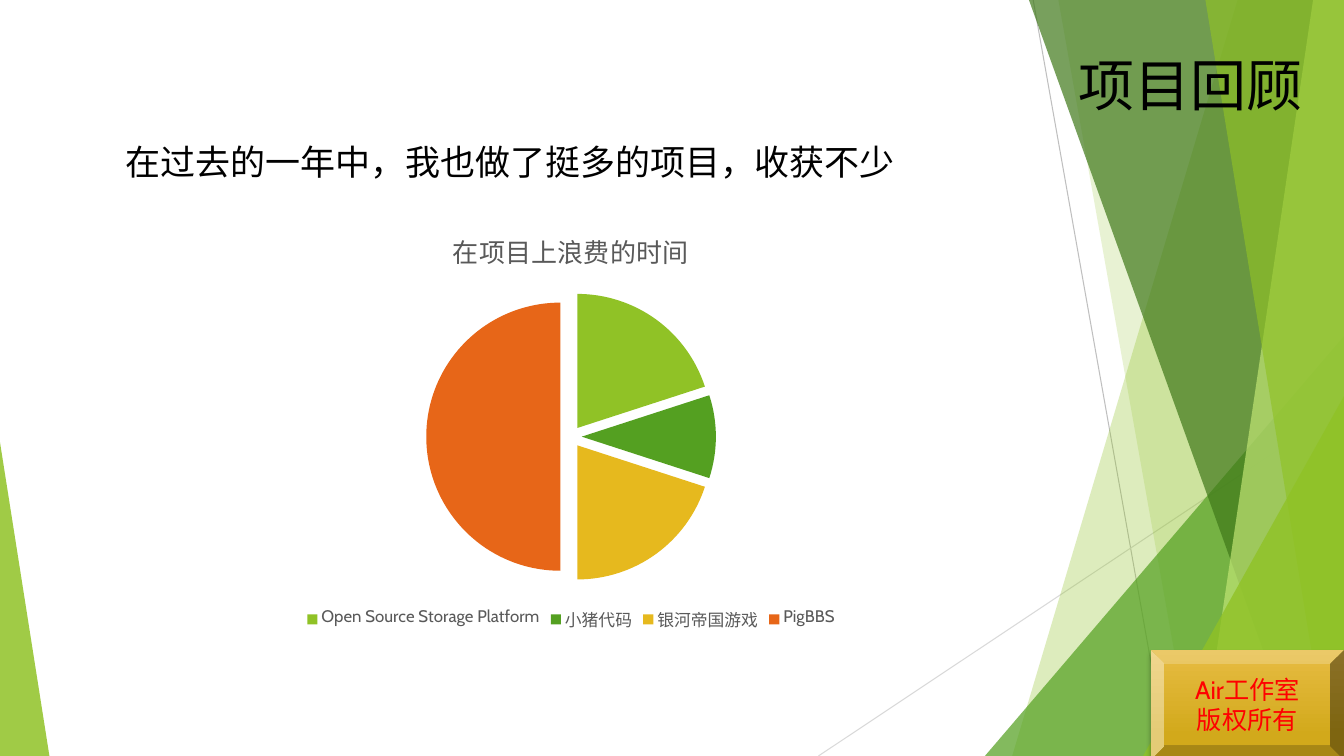
"""Builds the project review slide with its faceted green decoration and pie chart."""
from lxml import etree
from pptx import Presentation
from pptx.chart.data import CategoryChartData
from pptx.dml.color import RGBColor
from pptx.enum.chart import XL_CHART_TYPE, XL_LEGEND_POSITION
from pptx.enum.shapes import MSO_CONNECTOR, MSO_SHAPE
from pptx.enum.text import MSO_ANCHOR, PP_ALIGN
from pptx.oxml.ns import qn
from pptx.util import Pt

PIE = XL_CHART_TYPE.PIE
LEGEND_BOTTOM = XL_LEGEND_POSITION.BOTTOM
STRAIGHT = MSO_CONNECTOR.STRAIGHT
TRIANGLE = MSO_SHAPE.ISOSCELES_TRIANGLE
BEVEL = MSO_SHAPE.BEVEL
MIDDLE = MSO_ANCHOR.MIDDLE
LEFT = PP_ALIGN.LEFT
CENTER = PP_ALIGN.CENTER

BLACK = RGBColor(0x00, 0x00, 0x00)
RED = RGBColor(0xFF, 0x00, 0x00)
GRAY = RGBColor(0x59, 0x59, 0x59)
SILVER = RGBColor(0xBF, 0xBF, 0xBF)
PALE_GRAY = RGBColor(0xD9, 0xD9, 0xD9)
LIME = RGBColor(0x90, 0xC2, 0x26)
GREEN = RGBColor(0x54, 0xA0, 0x21)
DARK_GREEN = RGBColor(0x3F, 0x78, 0x19)
LIGHT_LIME = RGBColor(0xC0, 0xE4, 0x74)
YELLOW = RGBColor(0xE6, 0xB9, 0x1E)
ORANGE = RGBColor(0xE7, 0x66, 0x18)
GOLD = RGBColor(0xE7, 0xBC, 0x43)
DARK_GOLD = RGBColor(0xD2, 0xA9, 0x1B)

FONT = "Cabin"
WIDTH, HEIGHT = 960, 540
CHART_TITLE = "在项目上浪费的时间"
PROJECTS = [
    ("Open Source Storage Platform", 20, LIME),
    ("小猪代码", 10, GREEN),
    ("银河帝国游戏", 20, YELLOW),
    ("PigBBS", 50, ORANGE),
]


def set_font(font, size, color):
    """Apply the slide's typeface with a size and colour."""
    font.name = FONT
    font.size = Pt(size)
    font.bold = False
    font.color.rgb = color


def write_text(text_frame, text, size, color=BLACK, align=LEFT, wrap=False):
    """Write one paragraph per line of text."""
    text_frame.word_wrap = wrap
    for index, line in enumerate(text.split("\n")):
        paragraph = text_frame.paragraphs[0] if index == 0 else text_frame.add_paragraph()
        paragraph.alignment = align
        run = paragraph.add_run()
        run.text = line
        set_font(run.font, size, color)


def add_text(slide, left, top, width, height, text, size):
    """Add a text box."""
    box = slide.shapes.add_textbox(Pt(left), Pt(top), Pt(width), Pt(height))
    write_text(box.text_frame, text, size)


def add_line(slide, start, end, color):
    """Add a thin straight line without a shadow."""
    line = slide.shapes.add_connector(
        STRAIGHT, Pt(start[0]), Pt(start[1]), Pt(end[0]), Pt(end[1]))
    line.line.color.rgb = color
    line.line.width = Pt(0.75)
    etree.SubElement(line._element.spPr, qn("a:effectLst"))


def fill_translucent(shape, color, opacity):
    """Fill a shape with a partly opaque colour, without outline or shadow."""
    shape.shadow.inherit = False
    shape.line.fill.background()
    shape.fill.solid()
    shape.fill.fore_color.rgb = color
    color_element = shape._element.spPr.find(".//" + qn("a:srgbClr"))
    etree.SubElement(color_element, qn("a:alpha"), val=str(opacity * 1000))


def add_facet(slide, top_left, bottom_left, color, opacity):
    """Add a full-height facet reaching the right slide edge."""
    builder = slide.shapes.build_freeform(Pt(top_left), 0)
    corners = [(WIDTH, 0), (WIDTH, HEIGHT), (bottom_left, HEIGHT)]
    builder.add_line_segments([(Pt(x), Pt(y)) for x, y in corners], close=True)
    fill_translucent(builder.convert_to_shape(), color, opacity)


def add_corner(slide, left, top, width, apex, color, opacity):
    """Add a right triangle standing on the bottom slide edge."""
    shape = slide.shapes.add_shape(
        TRIANGLE, Pt(left), Pt(top), Pt(width), Pt(HEIGHT - top))
    shape.adjustments[0] = apex
    fill_translucent(shape, color, opacity)


def add_decoration(slide):
    """Draw the lines and facets behind the content."""
    add_line(slide, (738, 0), (834, HEIGHT), SILVER)
    add_line(slide, (WIDTH, 290), (584.6, HEIGHT), PALE_GRAY)
    add_facet(slide, 884, 723, LIME, 30)
    add_facet(slide, 756, 852, LIME, 20)
    add_corner(slide, 703.5, 240, 256.5, 1, GREEN, 72)
    add_facet(slide, 735, 929.5, DARK_GREEN, 70)
    add_facet(slide, 938, 858, LIGHT_LIME, 70)
    add_facet(slide, 861, 949, LIME, 65)
    add_corner(slide, 816.5, 283, 143.5, 1, LIME, 80)
    add_corner(slide, 0, 316, 35.3, 0, LIME, 85)


def add_project_chart(slide):
    """Add the exploded pie of time spent per project."""
    data = CategoryChartData()
    data.categories = [name for name, _, _ in PROJECTS]
    data.add_series(CHART_TITLE, [value for _, value, _ in PROJECTS])
    chart = slide.shapes.add_chart(
        PIE, Pt(32.4), Pt(150.5), Pt(751), Pt(303.8), data).chart
    set_font(chart.font, 10, BLACK)
    chart.has_title = True
    write_text(chart.chart_title.text_frame, CHART_TITLE, 18.6, color=GRAY, align=CENTER)
    chart.chart_title.include_in_layout = False
    chart.has_legend = True
    chart.legend.position = LEGEND_BOTTOM
    chart.legend.include_in_layout = False
    set_font(chart.legend.font, 12, GRAY)
    plot = chart.plots[0]
    plot.vary_by_categories = True
    series = plot.series[0]
    for index, (_, _, color) in enumerate(PROJECTS):
        fill = series.points[index].format.fill
        fill.solid()
        fill.fore_color.rgb = color
    explosion = etree.Element(qn("c:explosion"), val="8")
    series._element.find(qn("c:tx")).addnext(explosion)


def add_badge(slide, left, top, width, height, text):
    """Add the golden bevelled badge with a soft shadow."""
    shape = slide.shapes.add_shape(BEVEL, Pt(left), Pt(top), Pt(width), Pt(height))
    shape.line.fill.background()
    shape.fill.gradient()
    shape.fill.gradient_angle = 270
    for stop, color, position in zip(
            shape.fill.gradient_stops, (GOLD, DARK_GOLD), (0, 0.78)):
        stop.color.rgb = color
        stop.position = position
    shape.shadow.inherit = False
    shadow = etree.SubElement(
        shape._element.spPr.find(qn("a:effectLst")), qn("a:outerShdw"),
        blurRad=str(Pt(4)), dist=str(Pt(3)), dir="5400000", rotWithShape="0")
    shade = etree.SubElement(shadow, qn("a:srgbClr"), val=str(BLACK))
    etree.SubElement(shade, qn("a:alpha"), val="35000")
    shape.text_frame.vertical_anchor = MIDDLE
    write_text(shape.text_frame, text, 18, color=RED, align=CENTER, wrap=True)


def main():
    """Build and save the slide."""
    presentation = Presentation()
    presentation.slide_width = Pt(WIDTH)
    presentation.slide_height = Pt(HEIGHT)
    slide = presentation.slides.add_slide(presentation.slide_layouts[6])
    add_decoration(slide)
    add_text(slide, 763.2, 32.4, 176.4, 55.4, "项目回顾", 40)
    add_text(slide, 82.8, 96.5, 570.2, 37.4, "在过去的一年中，我也做了挺多的项目，收获不少", 25)
    add_project_chart(slide)
    add_badge(slide, 822, 464.4, 138, 78, "Air工作室\n版权所有")
    presentation.save("out.pptx")


if __name__ == "__main__":
    main()
